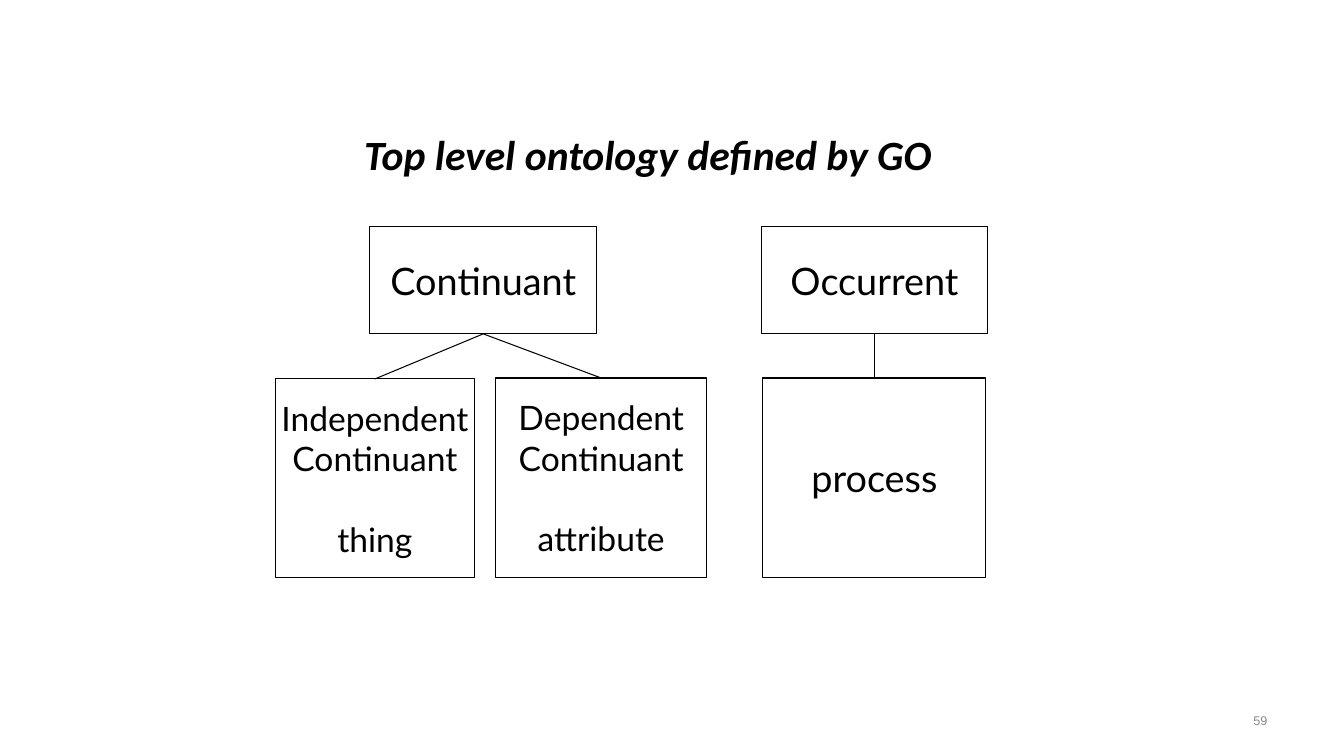
from dataclasses import dataclass

from lxml.etree import SubElement
from pptx import Presentation
from pptx.dml.color import RGBColor
from pptx.enum.shapes import MSO_CONNECTOR, MSO_SHAPE
from pptx.enum.text import MSO_ANCHOR, PP_ALIGN
from pptx.oxml.ns import qn
from pptx.util import Pt


@dataclass(frozen=True)
class Theme:
    ink: RGBColor = RGBColor(0x00, 0x00, 0x00)
    muted: RGBColor = RGBColor(0x89, 0x89, 0x89)
    title_font: str = "Calibri"
    body_font: str = "Lato"
    number_font: str = "Arial"
    title_size: float = 29.7
    node_size: float = 27
    detail_size: float = 24
    number_size: float = 9
    line_width: float = 0.75
    example_gap: float = 28.8


THEME = Theme()


def style_paragraph(p, font, size, color, align=PP_ALIGN.CENTER):
    p.alignment = align
    p.font.name = font
    p.font.size = Pt(size)
    p.font.color.rgb = color


def add_label(s, box, text, font, size, color, align):
    """Add a single-line text box and return its paragraph."""
    tf = s.shapes.add_textbox(*map(Pt, box)).text_frame
    tf.word_wrap = True
    tf.vertical_anchor = MSO_ANCHOR.MIDDLE
    p = tf.paragraphs[0]
    p.text = text
    style_paragraph(p, font, size, color, align)
    return p


def add_node(s, box, text, size=THEME.node_size, example=None):
    """Add an outlined category box, with an optional example set below."""
    sp = s.shapes.add_shape(MSO_SHAPE.RECTANGLE, *map(Pt, box))
    sp.shadow.inherit = False
    sp.fill.background()
    sp.line.color.rgb = THEME.ink
    sp.line.width = Pt(THEME.line_width)
    tf = sp.text_frame
    tf.word_wrap = False
    tf.vertical_anchor = MSO_ANCHOR.MIDDLE
    tf.text = text
    if example:
        p = tf.add_paragraph()
        p.text = example
        p.space_before = Pt(THEME.example_gap)
    for p in tf.paragraphs:
        style_paragraph(p, THEME.body_font, size, THEME.ink)
    return sp


def add_branch(s, parent, child):
    """Join the parent's bottom centre to the child's top centre."""
    line = s.shapes.add_connector(MSO_CONNECTOR.STRAIGHT, 0, 0, 0, 0)
    line.begin_connect(parent, 2)
    line.end_connect(child, 0)
    line.line.color.rgb = THEME.ink
    line.line.width = Pt(THEME.line_width)
    SubElement(line._element.spPr, qn("a:effectLst"))


def main():
    prs = Presentation()
    prs.slide_width, prs.slide_height = Pt(960), Pt(540)
    s = prs.slides.add_slide(prs.slide_layouts[6])

    # Title
    title = add_label(s, (193, 90, 540, 40), "Top level ontology defined by GO",
                      THEME.title_font, THEME.title_size, THEME.ink, PP_ALIGN.CENTER)
    title.font.bold = title.font.italic = True

    # Continuant tree
    continuant = add_node(s, (264.2, 162, 162, 76.5), "Continuant")
    independent = add_node(s, (196.5, 270.7, 142.6, 141.8), "Independent\nContinuant",
                           THEME.detail_size, "thing")
    dependent = add_node(s, (354.2, 270, 150.5, 142.5), "Dependent\nContinuant",
                         THEME.detail_size, "attribute")

    # Occurrent tree
    occurrent = add_node(s, (543.6, 162, 162, 76.5), "Occurrent")
    process = add_node(s, (545, 270, 159.2, 142.5), "process")

    # Branches
    for parent, child in ((continuant, independent), (continuant, dependent),
                          (occurrent, process)):
        add_branch(s, parent, child)

    # Slide number
    add_label(s, (688.3, 500.4, 224, 28.8), "59", THEME.number_font,
              THEME.number_size, THEME.muted, PP_ALIGN.RIGHT)

    prs.save("out.pptx")


if __name__ == "__main__":
    main()
